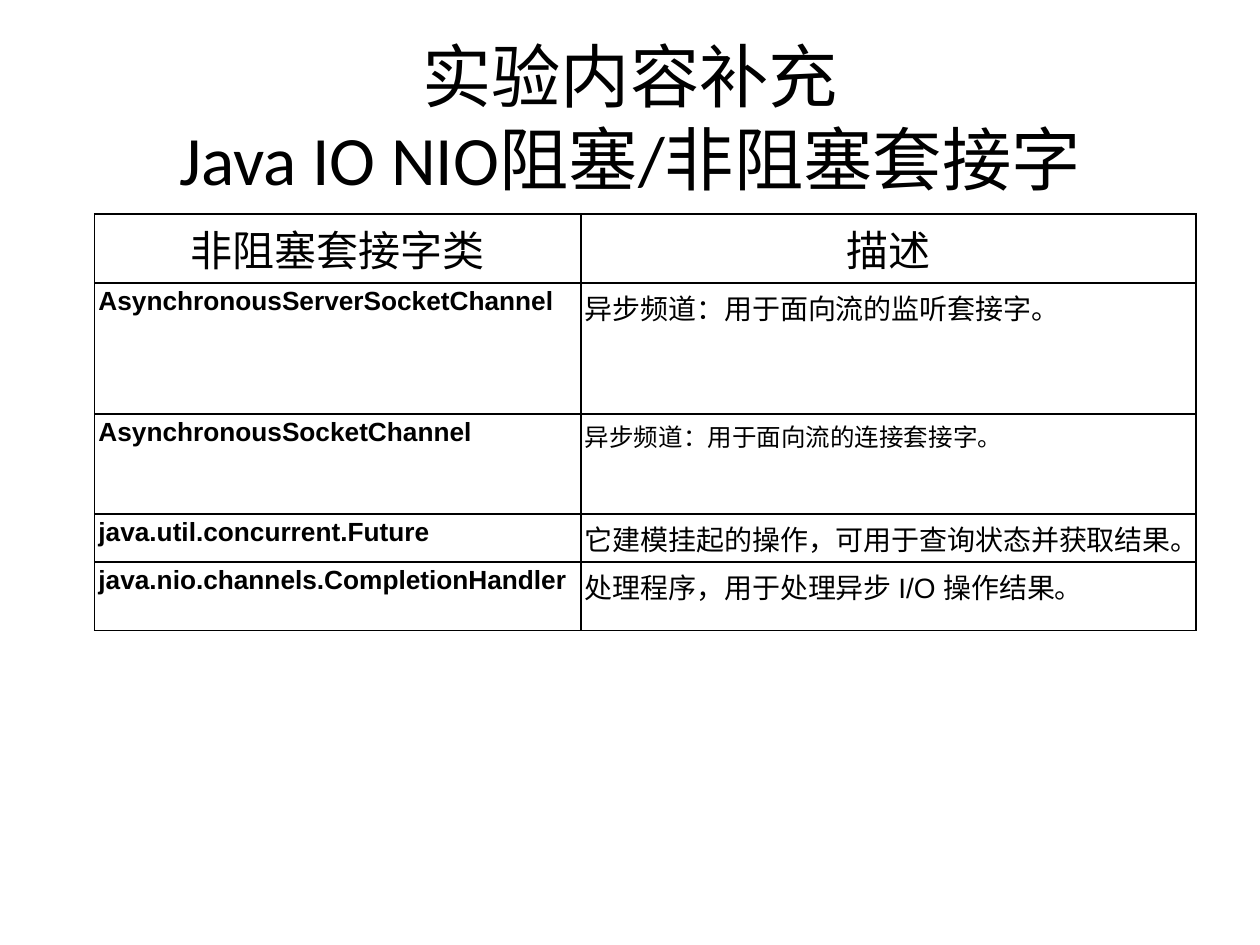
from pptx import Presentation
from pptx.dml.color import RGBColor as Rgb
from pptx.enum.text import MSO_ANCHOR as Anchor, MSO_AUTO_SIZE as AutoSize, PP_ALIGN as Align
from pptx.oxml import parse_xml
from pptx.oxml.ns import nsdecls
from pptx.util import Pt

COLORS = {"ink": "000000", "border": "000000"}
TITLE_ONLY = 5


def write(frame, text, font="Arial", size=16, bold=False, align=Align.LEFT):
    paragraph = frame.paragraphs[0]
    paragraph.alignment = align
    for index, line in enumerate(text.split("\n")):
        if index:
            paragraph.add_line_break()
        run = paragraph.add_run()
        run.text = line
        run.font.name = font
        run.font.size = Pt(size)
        run.font.bold = bold
        run.font.color.rgb = Rgb.from_string(COLORS["ink"])


class SlideBuilder:
    heading_font = "Calibri"
    cell_margin = 2.25
    border_width = 1

    def __init__(self, deck):
        self.slide = deck.slides.add_slide(deck.slide_layouts[TITLE_ONLY])

    def title(self, text, left, top, width, height, size):
        heading = self.slide.shapes.title
        heading.left, heading.top = Pt(left), Pt(top)
        heading.width, heading.height = Pt(width), Pt(height)
        frame = heading.text_frame
        frame.word_wrap = True
        frame.auto_size = AutoSize.NONE
        frame.vertical_anchor = Anchor.MIDDLE
        write(frame, text, font=self.heading_font, size=size, align=Align.CENTER)

    def table(self, rows, left, top, widths, heights):
        grid = self.slide.shapes.add_table(
            len(rows), len(widths), Pt(left), Pt(top), Pt(sum(widths)), Pt(sum(heights))
        ).table
        grid.first_row = grid.horz_banding = False
        for column, width in zip(grid.columns, widths):
            column.width = Pt(width)
        for row, height, entries in zip(grid.rows, heights, rows):
            row.height = Pt(height)
            for cell, (text, style) in zip(row.cells, entries):
                self.format_cell(cell)
                write(cell.text_frame, text, **style)

    def format_cell(self, cell):
        cell.margin_left = cell.margin_right = Pt(self.cell_margin)
        cell.margin_top = cell.margin_bottom = Pt(self.cell_margin)
        cell.vertical_anchor = Anchor.TOP
        properties = cell._tc.get_or_add_tcPr()
        for side in "LRTB":
            properties.append(parse_xml(
                f'<a:ln{side} {nsdecls("a")} w="{Pt(self.border_width)}"><a:solidFill>'
                f'<a:srgbClr val="{COLORS["border"]}"/></a:solidFill></a:ln{side}>'
            ))
        cell.fill.background()


deck = Presentation()
deck.slide_width, deck.slide_height = Pt(720), Pt(540)
builder = SlideBuilder(deck)
builder.title("实验内容补充\nJava IO NIO阻塞/非阻塞套接字", 36, 21.6, 648, 90, size=39.6)

header = {"font": "Calibri", "size": 24, "align": Align.CENTER}
class_name = {"size": 15, "bold": True}
socket_classes = [
    ("AsynchronousServerSocketChannel", "异步频道：用于面向流的监听套接字。", 16),
    ("AsynchronousSocketChannel", "异步频道：用于面向流的连接套接字。", 14),
    ("java.util.concurrent.Future", "它建模挂起的操作，可用于查询状态并获取结果。", 16),
    ("java.nio.channels.CompletionHandler", "处理程序，用于处理异步 I/O 操作结果。", 16),
]
rows = [[("非阻塞套接字类", header), ("描述", header)]]
rows += [
    [(name, class_name), (description, {"size": size})]
    for name, description, size in socket_classes
]
builder.table(rows, 54, 122.4, widths=[278, 351.4], heights=[39, 75, 57, 23, 39])

deck.save("out.pptx")
